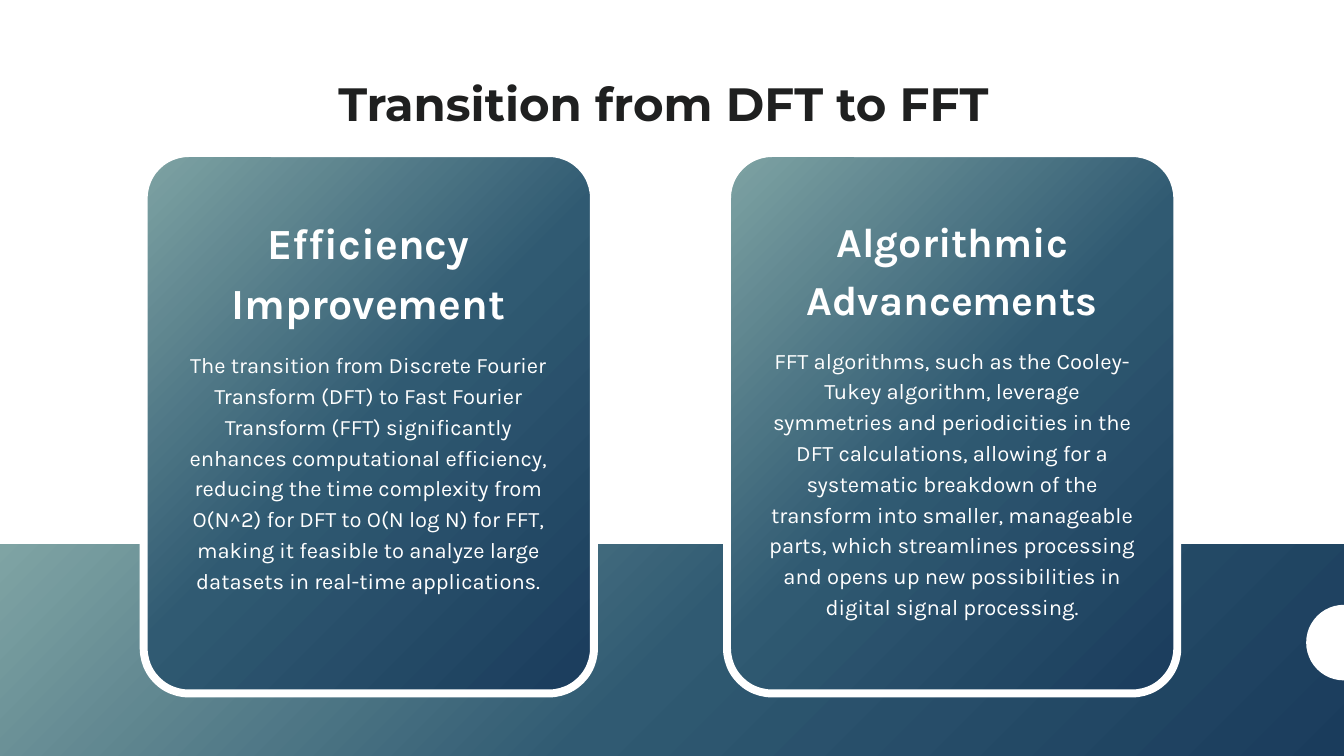
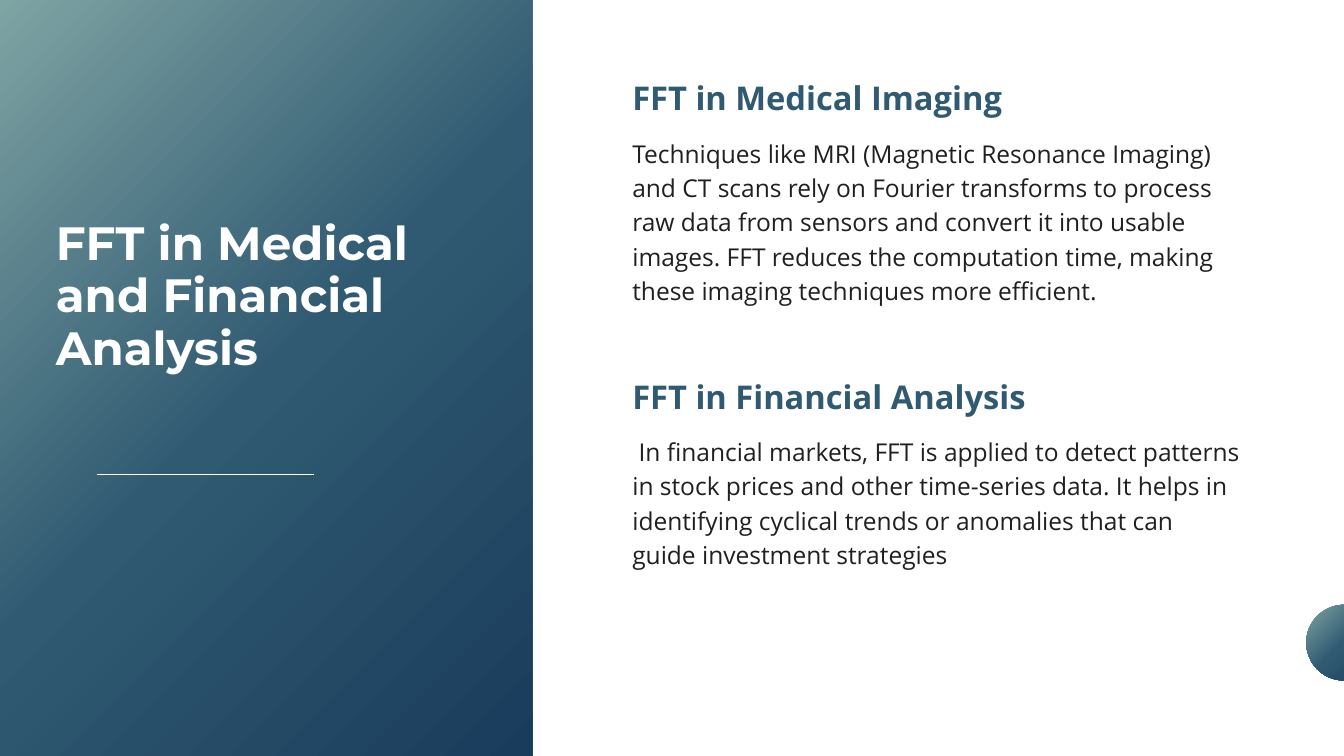
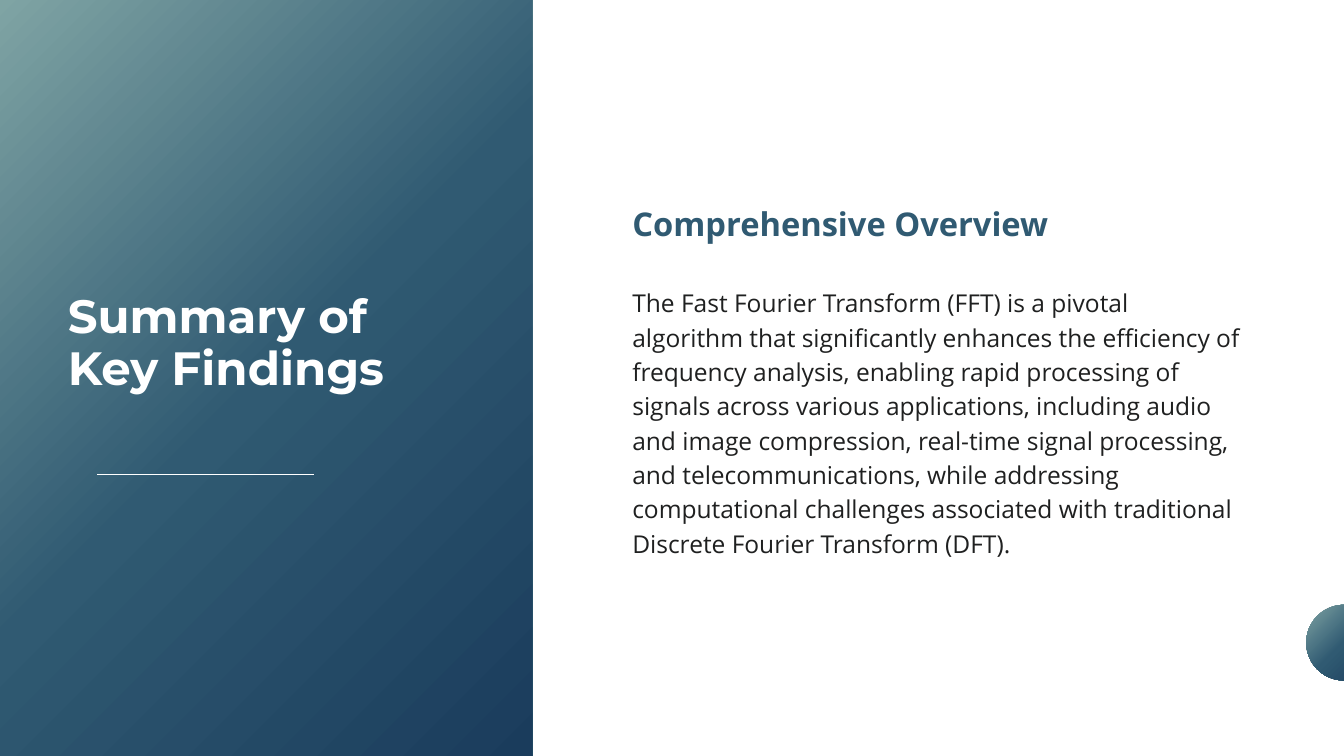
"""Builds three slides on the Fast Fourier Transform and its uses."""
import copy

import pptx
import pptx.dml.color
import pptx.enum.shapes
import pptx.enum.text
import pptx.oxml.ns
import pptx.oxml.xmlchemy
import pptx.util

Pt = pptx.util.Pt
SHAPES = pptx.enum.shapes.MSO_SHAPE
ALIGN = pptx.enum.text.PP_ALIGN

WIDTH, HEIGHT = 1440, 810
WHITE, INK, TEAL = "FFFFFF", "1F2020", "305A72"
GRADIENT = ("7FA4A4", TEAL, "1A3C5C")
TITLE = dict(font="Montserrat", size=50, spacing=56, bold=True)
HEADING = dict(font="Open Sans", size=35, spacing=49, bold=True, colour=TEAL)
BODY = dict(font="Open Sans", size=26.3, spacing=36.8, colour=INK)
CARD_TEXT = dict(font="Karla", colour=WHITE, align=ALIGN.CENTER)

BAND_TOP = 583.2
PANEL_WIDTH = 570.24
CARD_TOP, CARD_WIDTH, CARD_HEIGHT, CARD_BORDER = 164, 482.4, 579, 8.5
SECTION_LEFT, SECTION_WIDTH = 677.5, 651

COMPARISON_TITLE = "Transition from DFT to FFT"
CARDS = [
    dict(
        left=154,
        heading="Efficiency Improvement",
        heading_box=(200.8, 222.5, 388, 126),
        heading_format=dict(size=46.1, spacing=64.6),
        body="The transition from Discrete Fourier Transform (DFT) to Fast Fourier "
        "Transform (FFT) significantly enhances computational efficiency, reducing the "
        "time complexity from O(N^2) for DFT to O(N log N) for FFT, making it feasible "
        "to analyze large datasets in real-time applications.",
        body_box=(200.8, 372.2, 388, 321),
        body_size=23.5,
    ),
    dict(
        left=779,
        heading="Algorithmic Advancements",
        heading_box=(834.5, 223.2, 371.5, 121),
        heading_format=dict(size=44.2, spacing=61.8),
        body="FFT algorithms, such as the Cooley-Tukey algorithm, leverage symmetries "
        "and periodicities in the DFT calculations, allowing for a systematic breakdown "
        "of the transform into smaller, manageable parts, which streamlines processing "
        "and opens up new possibilities in digital signal processing.",
        body_box=(817.2, 367.2, 406, 329),
        body_size=23.6,
    ),
]

PANEL_SLIDES = [
    dict(
        title="FFT in Medical and Financial Analysis",
        title_box=(59.8, 233.3, 425.5, 168),
        sections=[
            dict(
                heading="FFT in Medical Imaging",
                heading_top=76.3,
                body="Techniques like MRI (Magnetic Resonance Imaging) and CT scans rely "
                "on Fourier transforms to process raw data from sensors and convert it "
                "into usable images. FFT reduces the computation time, making these "
                "imaging techniques more efficient.",
                body_top=143.3,
                body_height=182,
            ),
            dict(
                heading="FFT in Financial Analysis",
                heading_top=396.7,
                body=" In financial markets, FFT is applied to detect patterns in stock "
                "prices and other time-series data. It helps in identifying cyclical "
                "trends or anomalies that can guide investment strategies",
                body_top=463,
                body_height=145.5,
            ),
        ],
    ),
    dict(
        title="Summary of Key Findings",
        title_box=(72.7, 311, 425.5, 112),
        sections=[
            dict(
                heading="Comprehensive Overview",
                heading_top=211,
                body="The Fast Fourier Transform (FFT) is a pivotal algorithm that "
                "significantly enhances the efficiency of frequency analysis, enabling "
                "rapid processing of signals across various applications, including "
                "audio and image compression, real-time signal processing, and "
                "telecommunications, while addressing computational challenges "
                "associated with traditional Discrete Fourier Transform (DFT).",
                body_top=303.8,
                body_height=328.3,
            ),
        ],
    ),
]


def rgb(colour):
    return pptx.dml.color.RGBColor.from_string(colour)


def add_text(slide, text, box, *, font, size, spacing, colour, bold=False, align=ALIGN.LEFT):
    frame = slide.shapes.add_textbox(*map(Pt, box)).text_frame
    frame.margin_left = frame.margin_top = frame.margin_right = frame.margin_bottom = 0
    frame.word_wrap = True
    frame.auto_size = pptx.enum.text.MSO_AUTO_SIZE.SHAPE_TO_FIT_TEXT
    paragraph = frame.paragraphs[0]
    paragraph.alignment = align
    paragraph.line_spacing = Pt(spacing)
    run = paragraph.add_run()
    run.text = text
    run.font.name = font
    run.font.size = Pt(size)
    run.font.bold = bold
    run.font.color.rgb = rgb(colour)


def add_area(slide, kind, box, colour=None):
    area = slide.shapes.add_shape(kind, *map(Pt, box))
    area.shadow.inherit = False
    area.line.fill.background()
    if colour:
        area.fill.solid()
        area.fill.fore_color.rgb = rgb(colour)
        return area
    area.fill.gradient()
    area.fill.gradient_angle = 315
    stops = next(area.element.iter(pptx.oxml.ns.qn("a:gsLst")))
    middle = copy.deepcopy(stops[0])
    middle.set("pos", "50000")
    stops.insert(1, middle)
    for stop, stop_colour in zip(area.fill.gradient_stops, GRADIENT):
        stop.color.rgb = rgb(stop_colour)
    return area


def add_edge_circle(slide, colour=None):
    add_area(slide, SHAPES.OVAL, (WIDTH - 40.5, 648, 81, 81), colour)


def add_rule(slide):
    rule = slide.shapes.add_connector(
        pptx.enum.shapes.MSO_CONNECTOR.STRAIGHT, Pt(104.4), Pt(508.3), Pt(336.2), Pt(508.3)
    )
    rule.line.color.rgb = rgb(WHITE)
    rule.line.width = Pt(1.5)
    properties = rule.element.spPr
    properties.append(pptx.oxml.xmlchemy.OxmlElement("a:effectLst"))


def add_card(slide, card):
    box = (card["left"], CARD_TOP, CARD_WIDTH, CARD_HEIGHT)
    outline = add_area(slide, SHAPES.ROUNDED_RECTANGLE, box)
    outline.adjustments[0] = 0.1
    outline.line.color.rgb = rgb(WHITE)
    outline.line.width = Pt(CARD_BORDER)
    add_text(slide, card["heading"], card["heading_box"], bold=True,
             **CARD_TEXT, **card["heading_format"])
    add_text(slide, card["body"], card["body_box"], size=card["body_size"],
             spacing=33, **CARD_TEXT)


def build_comparison(slide):
    add_area(slide, SHAPES.RECTANGLE, (0, BAND_TOP, WIDTH, HEIGHT - BAND_TOP))
    add_edge_circle(slide, WHITE)
    add_text(slide, COMPARISON_TITLE, (360, 84.2, 702, 56), colour=INK,
             align=ALIGN.CENTER, **TITLE)
    for card in CARDS:
        add_card(slide, card)


def build_panel(slide, content):
    add_edge_circle(slide)
    add_area(slide, SHAPES.RECTANGLE, (0, 0, PANEL_WIDTH, HEIGHT))
    add_rule(slide)
    add_text(slide, content["title"], content["title_box"], colour=WHITE, **TITLE)
    for section in content["sections"]:
        add_text(slide, section["heading"],
                 (SECTION_LEFT, section["heading_top"], SECTION_WIDTH, 46), **HEADING)
        add_text(slide, section["body"],
                 (SECTION_LEFT, section["body_top"], SECTION_WIDTH, section["body_height"]),
                 **BODY)


def main():
    deck = pptx.Presentation()
    deck.slide_width, deck.slide_height = Pt(WIDTH), Pt(HEIGHT)
    blank = deck.slide_layouts[6]
    build_comparison(deck.slides.add_slide(blank))
    for content in PANEL_SLIDES:
        build_panel(deck.slides.add_slide(blank), content)
    deck.save("out.pptx")


if __name__ == "__main__":
    main()
